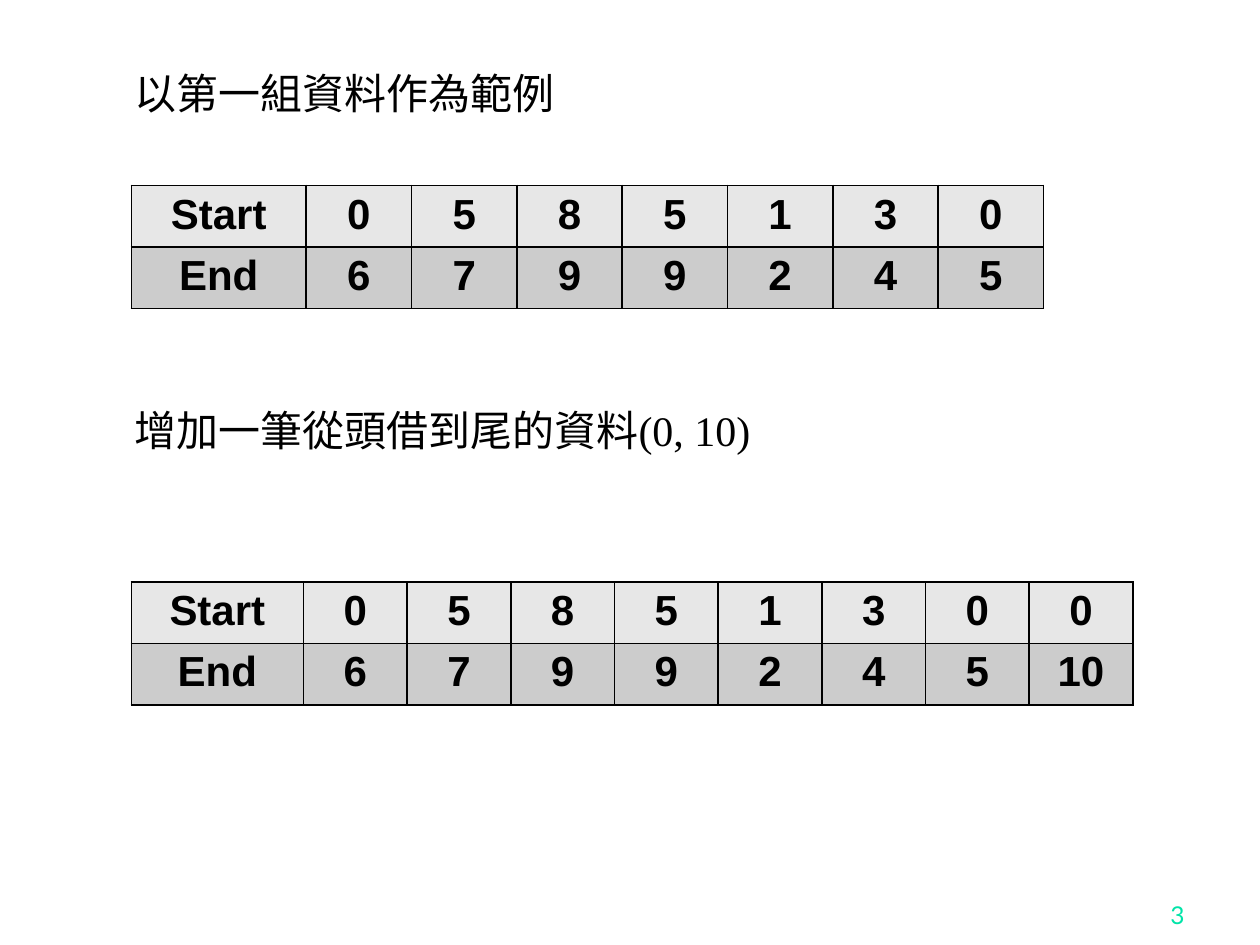
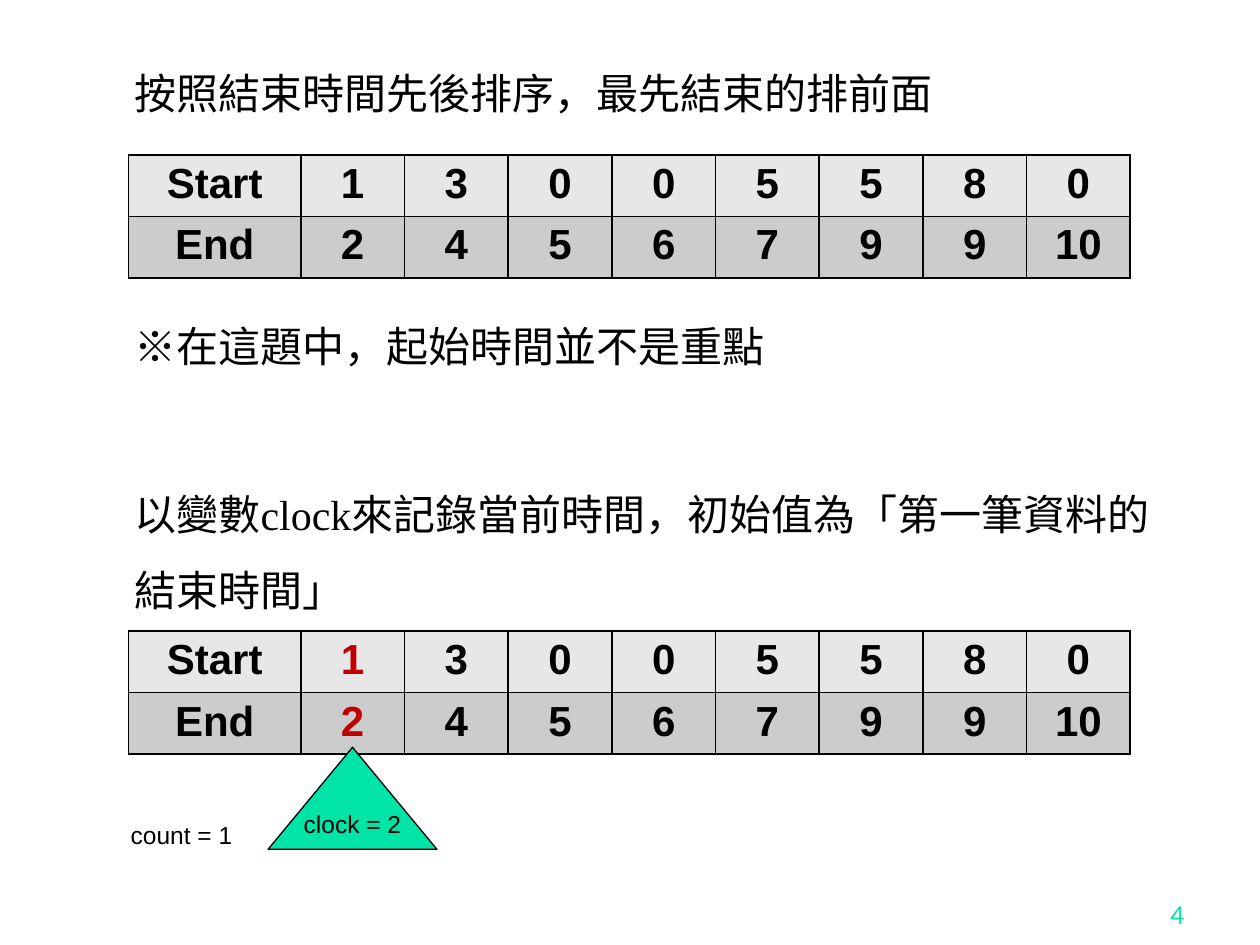
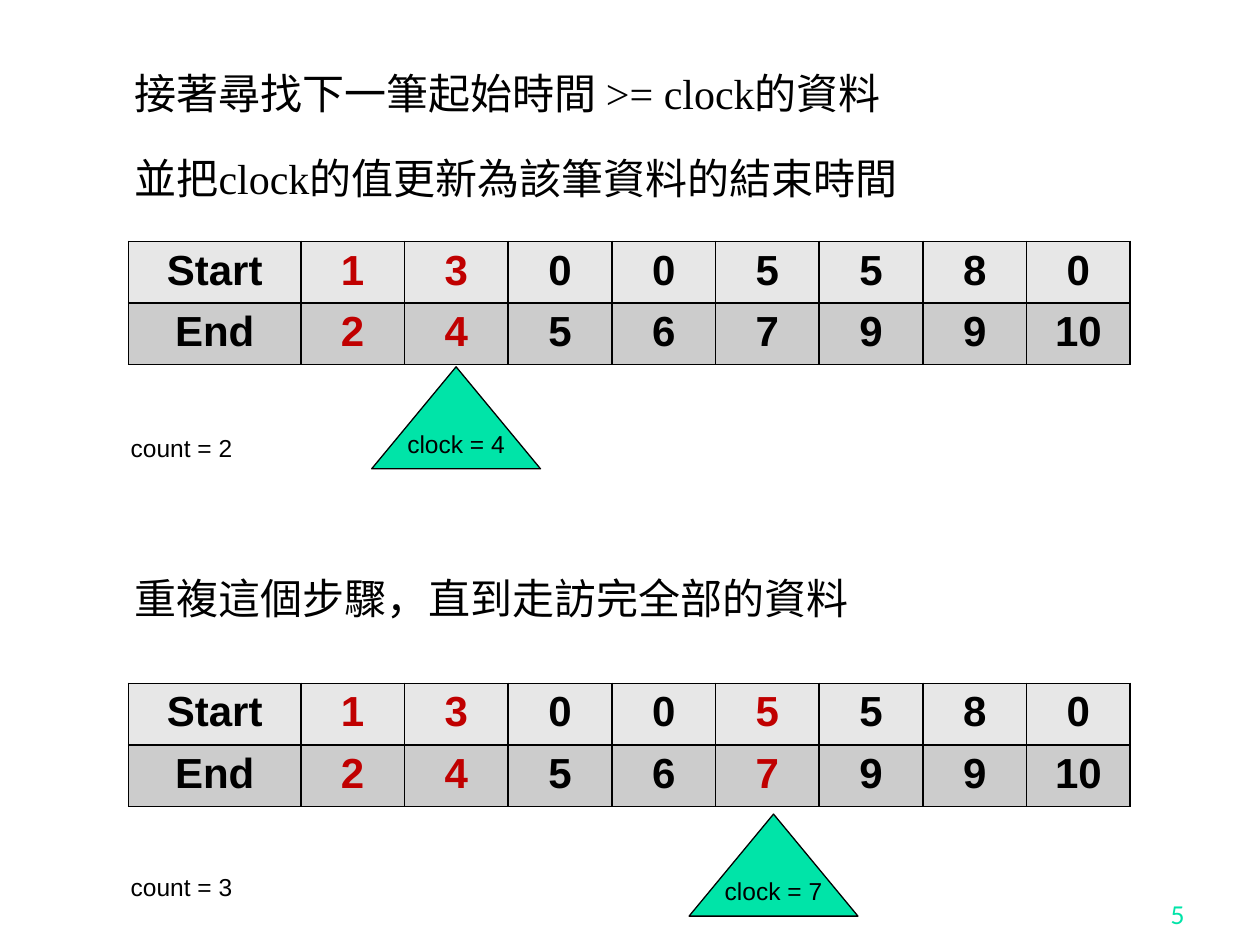
import pptx
import pptx.dml.color
import pptx.enum.shapes
import pptx.enum.text
import pptx.util
import lxml.etree
import pptx.oxml.ns

Pt = pptx.util.Pt
ALIGN = pptx.enum.text.PP_ALIGN
ANCHOR = pptx.enum.text.MSO_ANCHOR

BLACK, RED, GREEN = "000000", "C00000", "00E4A8"
ROW_FILLS = ["E7E7E7", "CCCCCC"]
LINE_PITCH = 48
PARAGRAPH_GAP = 5


def color(hex_code):
    return pptx.dml.color.RGBColor.from_string(hex_code)


def style(paragraph, size, font_name, hex_code, align, bold=False):
    paragraph.alignment = align
    for run in paragraph.runs:
        run.font.size = Pt(size)
        run.font.name = font_name
        run.font.bold = bold
        run.font.color.rgb = color(hex_code)


given = [("Start", 0, 5, 8, 5, 1, 3, 0), ("End", 6, 7, 9, 9, 2, 4, 5)]
extended = [given[0] + (0,), given[1] + (10,)]
by_end = [("Start", 1, 3, 0, 0, 5, 5, 8, 0), ("End", 2, 4, 5, 6, 7, 9, 9, 10)]

steps = [
    {
        "number": 3,
        "statements": [(0, "以第一組資料作為範例"), (4, "增加一筆從頭借到尾的資料(0, 10)")],
        "schedules": [(given, 75, 106, 100, 60.2, ()), (extended, 75, 332.5, 98.4, 59.25, ())],
        "clocks": [],
        "counts": [],
    },
    {
        "number": 4,
        "statements": [
            (0, "按照結束時間先後排序，最先結束的排前面"),
            (3, "※在這題中，起始時間並不是重點"),
            (5, "以變數clock來記錄當前時間，初始值為「第一筆資料的結束時間」"),
        ],
        "schedules": [(by_end, 73.5, 88.5, 98.4, 59.25, ()), (by_end, 73.5, 360.5, 98.4, 59.25, (1,))],
        "clocks": [(2, 153.2, 427)],
        "counts": [(1, 465.1)],
    },
    {
        "number": 5,
        "statements": [
            (0, "接著尋找下一筆起始時間 >= clock的資料"),
            (1, "並把clock的值更新為該筆資料的結束時間"),
            (6, "重複這個步驟，直到走訪完全部的資料"),
        ],
        "schedules": [(by_end, 73.5, 138, 98.4, 59.25, (1, 2)), (by_end, 73.5, 390.5, 98.4, 59.25, (1, 2, 5))],
        "clocks": [(4, 212.4, 209.6), (7, 393.8, 465.2)],
        "counts": [(2, 244), (3, 494.8)],
    },
]

deck = pptx.Presentation()
deck.slide_width, deck.slide_height = Pt(720), Pt(540)

for step in steps:
    slide = deck.slides.add_slide(deck.slide_layouts[6])

    explanation = slide.shapes.add_textbox(Pt(41.8), Pt(20.9), Pt(635.8), Pt(519)).text_frame
    explanation.word_wrap = True
    explanation.text = "\n".join(sentence for _, sentence in step["statements"])
    previous_line = 0
    for paragraph, (line, _) in zip(explanation.paragraphs, step["statements"]):
        paragraph._p.get_or_add_pPr().set("marL", str(Pt(28)))
        paragraph.line_spacing = 1.5
        if line:
            paragraph.space_before = Pt(PARAGRAPH_GAP + LINE_PITCH * (line - previous_line - 1))
        style(paragraph, 24, "Times New Roman", BLACK, ALIGN.LEFT)
        previous_line = line

    page_number = slide.shapes.add_textbox(Pt(534), Pt(498.5), Pt(150), Pt(36)).text_frame
    page_number.word_wrap = True
    page_number.vertical_anchor = ANCHOR.BOTTOM
    page_number.text = str(step["number"])
    style(page_number.paragraphs[0], 14, "Lato", GREEN, ALIGN.RIGHT)

    for times, left, top, label_width, slot_width, chosen in step["schedules"]:
        slots = len(times[0]) - 1
        schedule = slide.shapes.add_table(
            2, slots + 1, Pt(left), Pt(top), Pt(label_width + slots * slot_width), Pt(68)
        ).table
        for index, column in enumerate(schedule.columns):
            column.width = Pt(slot_width if index else label_width)
        for row, values in enumerate(times):
            for index, value in enumerate(values):
                cell = schedule.cell(row, index)
                cell.margin_top = cell.margin_bottom = Pt(3.2)
                cell.text = str(value)
                style(cell.text_frame.paragraphs[0], 24, "Arial",
                      RED if index in chosen else BLACK, ALIGN.CENTER, True)
                properties = cell._tc.get_or_add_tcPr()
                for side in ("lnL", "lnR", "lnT", "lnB"):
                    border = lxml.etree.SubElement(properties, pptx.oxml.ns.qn("a:" + side), w=str(Pt(1)))
                    border_fill = lxml.etree.SubElement(border, pptx.oxml.ns.qn("a:solidFill"))
                    lxml.etree.SubElement(border_fill, pptx.oxml.ns.qn("a:srgbClr"), val=BLACK)
                cell.fill.solid()
                cell.fill.fore_color.rgb = color(ROW_FILLS[row])

    for time, left, top in step["clocks"]:
        clock = slide.shapes.add_shape(
            pptx.enum.shapes.MSO_SHAPE.ISOSCELES_TRIANGLE, Pt(left), Pt(top), Pt(96.5), Pt(58.3)
        )
        clock.shadow.inherit = False
        clock.fill.solid()
        clock.fill.fore_color.rgb = color(GREEN)
        clock.line.color.rgb = color(BLACK)
        clock.line.width = Pt(0.75)
        clock.text_frame.word_wrap = False
        clock.text_frame.vertical_anchor = ANCHOR.MIDDLE
        clock.text_frame.text = f"clock = {time}"
        style(clock.text_frame.paragraphs[0], 14, "Arial", BLACK, ALIGN.CENTER)

    for total, top in step["counts"]:
        count = slide.shapes.add_textbox(Pt(14.4), Pt(top), Pt(178.6), Pt(24.5)).text_frame
        count.word_wrap = True
        count.text = f"count = {total}"
        style(count.paragraphs[0], 14, "Arial", BLACK, ALIGN.CENTER)

deck.save("out.pptx")
